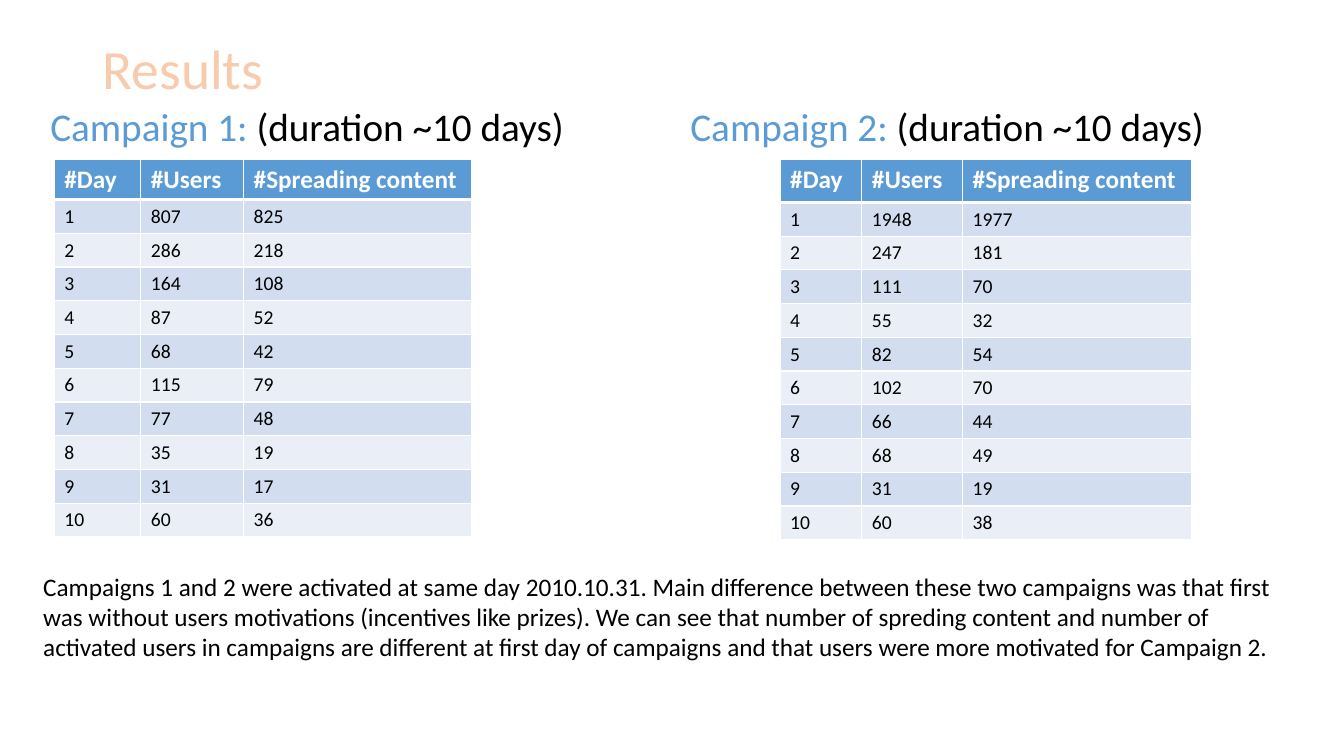
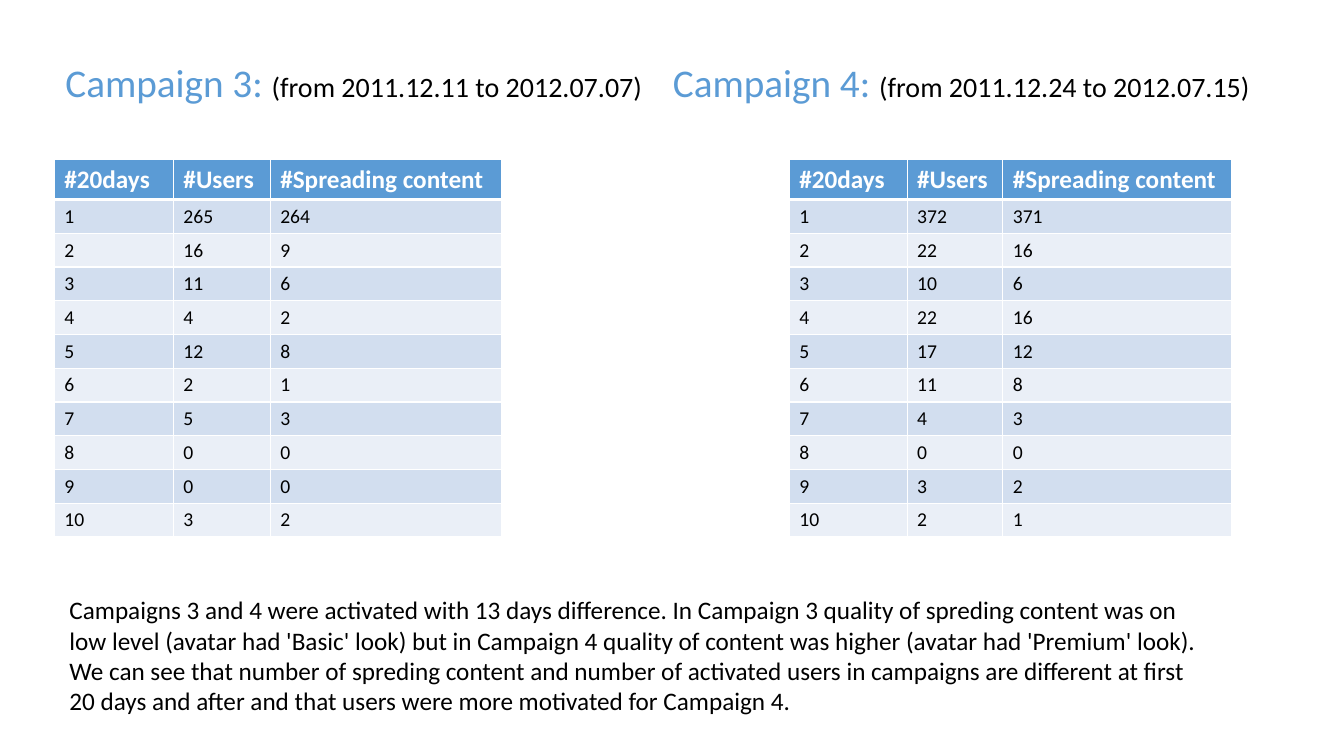
from dataclasses import dataclass
from typing import Any

from lxml.etree import SubElement
from pptx import Presentation
from pptx.dml.color import RGBColor
from pptx.enum.text import MSO_ANCHOR, MSO_AUTO_SIZE
from pptx.oxml.ns import qn
from pptx.slide import Slide
from pptx.text.text import _Paragraph as Para, _Run as Run
from pptx.util import Cm, Pt

HUES = {
    "title": "F8CBAD",
    "edge": "ED7D31",
    "blue": "5B9BD5",
    "black": "000000",
    "white": "FFFFFF",
    "odd": "D2DEEF",
    "even": "EAEFF7",
}
FONTS = {
    "title": {"name": "Calibri", "size": Pt(39.6), "bold": False},
    "head": {"name": "Calibri", "size": Pt(28), "bold": False},
    "span": {"name": "Calibri", "size": Pt(20), "bold": False},
    "note": {"name": "Calibri", "size": Pt(18), "bold": False},
    "label": {"name": "Calibri", "size": Pt(18), "bold": True},
    "cell": {"name": "Calibri", "size": Pt(14), "bold": False},
}
TIGHT = {"line_spacing": 0.9}
SPACED = {"line_spacing": 0.9, "space_before": Pt(10)}
TOP = 4.01
ROW = 0.85


@dataclass
class Box:
    left: float
    top: float
    width: float
    height: float


@dataclass
class Phrase:
    text: str
    font: str
    hue: str


@dataclass
class Grid:
    left: float
    cols: tuple[float, ...]
    first: float
    unit: str
    users: tuple[int, ...]
    spread: tuple[int, ...]


@dataclass
class Drive:
    box: Box
    head: tuple[Phrase, ...]
    grid: Grid


@dataclass
class Page:
    title: str
    drives: tuple[Drive, ...]
    box: Box
    note: str


PAGES = (
    Page(
        "Results",
        (
            Drive(
                Box(1.02, 2.59, 15.52, 11.68),
                (Phrase("Campaign 1:", "head", "blue"),
                 Phrase(" (duration ~10 days)", "head", "black")),
                Grid(1.37, (2.18, 2.59, 5.74), 1.02, "#Day",
                     (807, 286, 164, 87, 68, 115, 77, 35, 31, 60),
                     (825, 218, 108, 52, 42, 79, 48, 19, 17, 36)),
            ),
            Drive(
                Box(17.15, 2.59, 14.78, 11.66),
                (Phrase("Campaign 2: ", "head", "blue"),
                 Phrase("(duration ~10 days)", "head", "black")),
                Grid(19.66, (2.06, 2.54, 5.77), 1.09, "#Day",
                     (1948, 247, 111, 55, 82, 102, 66, 68, 31, 60),
                     (1977, 181, 70, 32, 54, 70, 44, 49, 19, 38)),
            ),
        ),
        Box(0.84, 14.27, 31.45, 2.57),
        "Campaigns 1 and 2 were activated at same day 2010.10.31. Main "
        "difference between these two campaigns was that first was without "
        "users motivations (incentives like prizes). We can see that number "
        "of spreding content and number of activated users in campaigns are "
        "different at first day of campaigns and that users were more "
        "motivated for Campaign 2.",
    ),
    Page(
        "",
        (
            Drive(
                Box(1.4, 1.47, 15.32, 12.47),
                (Phrase("Campaign 3: ", "head", "blue"),
                 Phrase("(from 2011.12.11 to 2012.07.07)", "span", "black")),
                Grid(1.37, (3, 2.44, 5.82), 1.02, "#20days",
                     (265, 16, 11, 4, 12, 2, 5, 0, 0, 3),
                     (264, 9, 6, 2, 8, 1, 3, 0, 0, 2)),
            ),
            Drive(
                Box(16.71, 1.47, 15.62, 12.47),
                (Phrase("Campaign 4: ", "head", "blue"),
                 Phrase("(from 2011.12.24 to 2012.07.15)", "span", "black")),
                Grid(19.89, (2.97, 2.41, 5.77), 1.02, "#20days",
                     (372, 22, 10, 22, 17, 11, 4, 0, 3, 2),
                     (371, 16, 6, 16, 12, 8, 3, 0, 2, 1)),
            ),
        ),
        Box(1.5, 14.86, 29.18, 3.33),
        "Campaigns 3 and 4 were activated with 13 days difference. In "
        "Campaign 3 quality of spreding content was on low level (avatar had "
        "'Basic' look) but in Campaign 4 quality of content was higher "
        "(avatar had 'Premium' look). We can see that number of spreding "
        "content and number of activated users in campaigns are different at "
        "first 20 days and after and that users were more motivated for "
        "Campaign 4.",
    ),
)


def apply(item: Any, style: dict[str, Any]) -> None:
    for key, value in style.items():
        setattr(item, key, value)


def add_run(para: Para, phrase: Phrase) -> Run:
    run = para.add_run()
    run.text = phrase.text
    apply(run.font, FONTS[phrase.font])
    run.font.color.rgb = RGBColor.from_string(HUES[phrase.hue])
    return run


def add_line(host: Any, tag: str, width: float, hue: str) -> Any:
    line = SubElement(host, qn(tag), w=str(Pt(width)))
    fill = SubElement(line, qn("a:solidFill"))
    SubElement(fill, qn("a:srgbClr"), val=HUES[hue])
    return line


def add_text(slide: Slide, box: Box, words: tuple[Phrase, ...],
             frame: dict[str, Any], style: dict[str, Any]) -> list[Run]:
    shape = slide.shapes.add_textbox(
        Cm(box.left), Cm(box.top), Cm(box.width), Cm(box.height))
    apply(shape.text_frame, {"word_wrap": True, **frame})
    para = shape.text_frame.paragraphs[0]
    apply(para, style)
    return [add_run(para, phrase) for phrase in words]


def add_title(slide: Slide, text: str) -> None:
    run, = add_text(slide, Box(2.34, 1.02, 29.21, 1.57),
                    (Phrase(text, "title", "title"),),
                    {"vertical_anchor": MSO_ANCHOR.MIDDLE}, TIGHT)
    props = run._r.get_or_add_rPr()
    props.insert(0, add_line(props, "a:ln", 1.75, "edge"))


def add_grid(slide: Slide, grid: Grid) -> None:
    days = range(1, len(grid.users) + 1)
    rows = [(grid.unit, "#Users", "#Spreading content"),
            *zip(days, grid.users, grid.spread)]
    highs = [grid.first] + [ROW] * len(days)
    table = slide.shapes.add_table(
        len(rows), len(grid.cols), Cm(grid.left), Cm(TOP),
        Cm(sum(grid.cols)), Cm(sum(highs))).table
    for col, width in zip(table.columns, grid.cols):
        col.width = Cm(width)
    for at, (row, high, texts) in enumerate(zip(table.rows, highs, rows)):
        row.height = Cm(high)
        hue = "blue" if at == 0 else "odd" if at % 2 else "even"
        font, ink = ("cell", "black") if at else ("label", "white")
        edges = {"a:lnL": 1, "a:lnR": 1,
                 "a:lnT": 3 if at == 1 else 1, "a:lnB": 1 if at else 3}
        for cell, text in zip(row.cells, texts):
            props = cell._tc.get_or_add_tcPr()
            for tag, width in edges.items():
                add_line(props, tag, width, "white")
            cell.fill.solid()
            cell.fill.fore_color.rgb = RGBColor.from_string(HUES[hue])
            add_run(cell.text_frame.paragraphs[0],
                    Phrase(str(text), font, ink))


def add_page(slide: Slide, page: Page) -> None:
    if page.title:
        add_title(slide, page.title)
    for drive in page.drives:
        add_text(slide, drive.box, drive.head, {}, SPACED)
    for drive in page.drives:
        add_grid(slide, drive.grid)
    add_text(slide, page.box, (Phrase(page.note, "note", "black"),),
             {"auto_size": MSO_AUTO_SIZE.SHAPE_TO_FIT_TEXT}, {})


def main() -> None:
    deck = Presentation()
    apply(deck, {"slide_width": Cm(33.87), "slide_height": Cm(19.05)})
    for page in PAGES:
        add_page(deck.slides.add_slide(deck.slide_layouts[6]), page)
    deck.save("out.pptx")


if __name__ == "__main__":
    main()
